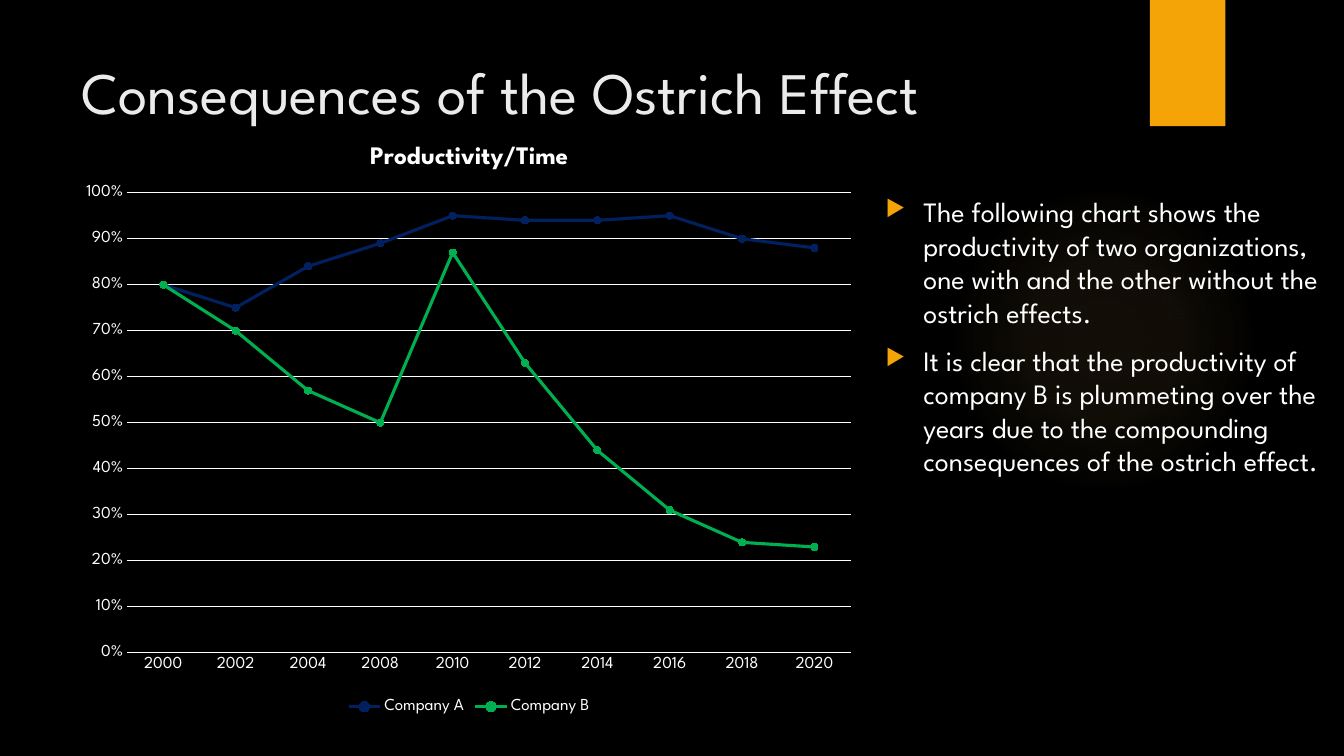
from dataclasses import dataclass

from pptx import Presentation
from pptx.chart.data import CategoryChartData
from pptx.dml.color import RGBColor
from pptx.enum.chart import XL_CHART_TYPE as ChartType
from pptx.enum.chart import XL_LEGEND_POSITION as LegendPosition
from pptx.enum.chart import XL_MARKER_STYLE as MarkerStyle
from pptx.enum.chart import XL_TICK_MARK as TickMark
from pptx.enum.shapes import MSO_SHAPE as Preset
from pptx.enum.text import MSO_ANCHOR as Anchor
from pptx.oxml import parse_xml
from pptx.oxml.ns import nsdecls
from pptx.util import Cm, Pt


@dataclass(frozen=True)
class Theme:
    font: str = "League Spartan"
    background: str = "000000"
    text: str = "FFFFFF"
    title: str = "EBEBEB"
    accent: str = "F5A408"
    glow: str = "FAC96A"
    companies: tuple = ("002060", "00B050")
    title_size: int = 42
    body_size: int = 20
    chart_title_size: int = 18
    label_size: int = 12


@dataclass(frozen=True)
class Box:
    left: float
    top: float
    width: float
    height: float

    def lengths(self):
        return Cm(self.left), Cm(self.top), Cm(self.width), Cm(self.height)


THEME = Theme()
YEARS = ["2000", "2002", "2004", "2008", "2010", "2012", "2014", "2016", "2018", "2020"]
PRODUCTIVITY = {
    "Company A": [0.8, 0.75, 0.84, 0.89, 0.95, 0.94, 0.94, 0.95, 0.9, 0.88],
    "Company B": [0.8, 0.7, 0.57, 0.5, 0.87, 0.63, 0.44, 0.31, 0.24, 0.23],
}
POINTS = [
    "The following chart shows the productivity of two organizations, "
    "one with and the other without the ostrich effects.",
    "It is clear that the productivity of company B is plummeting over the "
    "years due to the compounding consequences of the ostrich effect.",
]


def color(value):
    return RGBColor.from_string(value)


def style_font(font, size, value=THEME.text, bold=False):
    font.name = THEME.font
    font.size = Pt(size)
    font.bold = bold
    font.color.rgb = color(value)


def style_line(line, value, width):
    line.color.rgb = color(value)
    line.width = Pt(width)


def add_plain_shape(page, preset, box):
    shape = page.shapes.add_shape(preset, *box.lengths())
    shape.shadow.inherit = False
    shape.line.fill.background()
    return shape


def add_glow(page, box):
    glow = add_plain_shape(page, Preset.OVAL, box)
    stops = "".join(
        f'<a:gs pos="{place * 1000}"><a:srgbClr val="{THEME.glow}">'
        f'<a:alpha val="{alpha * 1000}"/></a:srgbClr></a:gs>'
        for place, alpha in ((0, 7), (36, 6), (69, 0))
    )
    glow.fill.gradient()
    gradient = glow.element.spPr.find("{*}gradFill")
    gradient.getparent().replace(gradient, parse_xml(
        f'<a:gradFill {nsdecls("a")}><a:gsLst>{stops}</a:gsLst><a:path path="circle">'
        '<a:fillToRect l="50000" t="50000" r="50000" b="50000"/></a:path></a:gradFill>'
    ))


def add_ribbon(page, box):
    ribbon = add_plain_shape(page, Preset.RECTANGLE, box)
    ribbon.fill.solid()
    ribbon.fill.fore_color.rgb = color(THEME.accent)


def add_text_frame(page, box):
    frame = page.shapes.add_textbox(*box.lengths()).text_frame
    frame.word_wrap = True
    frame.vertical_anchor = Anchor.TOP
    return frame


def add_title(page, box):
    frame = add_text_frame(page, box)
    frame.text = "Consequences of the Ostrich Effect"
    style_font(frame.paragraphs[0].font, THEME.title_size, THEME.title)


def add_bullet(para):
    properties = para._p.get_or_add_pPr()
    properties.set("marL", str(Cm(0.95)))
    properties.set("indent", str(Cm(-0.95)))
    for tag in (
        f'<a:buClr {nsdecls("a")}><a:srgbClr val="{THEME.accent}"/></a:buClr>',
        f'<a:buSzPct {nsdecls("a")} val="80000"/>',
        f'<a:buChar {nsdecls("a")} char="▶"/>',
    ):
        properties.append(parse_xml(tag))


def add_points(page, box):
    frame = add_text_frame(page, box)
    for index, point in enumerate(POINTS):
        para = frame.add_paragraph() if index else frame.paragraphs[0]
        para.text = point
        add_bullet(para)
        para.space_before = Pt(10 if index else 0)
        style_font(para.font, THEME.body_size)


def manual_layout(**places):
    target = '<c:layoutTarget val="inner"/>' if "w" in places else ""
    modes = "".join(f'<c:{axis}Mode val="edge"/>' for axis in "xy")
    values = "".join(f'<c:{key} val="{value}"/>' for key, value in places.items())
    return parse_xml(
        f'<c:layout {nsdecls("c")}><c:manualLayout>{target}{modes}{values}'
        "</c:manualLayout></c:layout>"
    )


def place_part(part, **places):
    for layout in part.findall("{*}layout"):
        part.remove(layout)
    index = 1 if part.find("{*}tx") is not None else 0
    part.insert(index, manual_layout(**places))


def style_axes(chart):
    for axis in (chart.category_axis, chart.value_axis):
        axis.major_tick_mark = axis.minor_tick_mark = TickMark.NONE
        style_font(axis.tick_labels.font, THEME.label_size)
    style_line(chart.category_axis.format.line, THEME.text, 0.75)
    values = chart.value_axis
    values.minimum_scale, values.maximum_scale, values.major_unit = 0, 1, 0.1
    values.tick_labels.number_format = "0%"
    values.tick_labels.number_format_is_linked = False
    values.format.line.fill.background()
    style_line(values.major_gridlines.format.line, THEME.text, 0.75)


def style_series(chart):
    for series, value in zip(chart.plots[0].series, THEME.companies):
        series.smooth = False
        style_line(series.format.line, value, 2.25)
        marker = series.marker
        marker.style = MarkerStyle.CIRCLE
        marker.size = 5
        marker.format.fill.solid()
        marker.format.fill.fore_color.rgb = color(value)
        style_line(marker.format.line, value, 0.75)


def add_productivity_chart(page, box):
    data = CategoryChartData(number_format="0%")
    data.categories = YEARS
    for company, values in PRODUCTIVITY.items():
        data.add_series(company, values)
    chart = page.shapes.add_chart(ChartType.LINE_MARKERS, *box.lengths(), data).chart
    style_font(chart.font, THEME.label_size)
    chart.plots[0].vary_by_categories = False
    heading = chart.chart_title.text_frame
    heading.text = "Productivity/Time"
    style_font(heading.paragraphs[0].runs[0].font, THEME.chart_title_size, bold=True)
    chart.has_legend = True
    chart.legend.position = LegendPosition.BOTTOM
    chart.legend.include_in_layout = False
    style_font(chart.legend.font, THEME.label_size)
    style_axes(chart)
    style_series(chart)
    place_part(chart.chart_title._element, x=0.37, y=0.03)
    place_part(chart._chartSpace.chart.plotArea, x=0.07, y=0.12, w=0.91, h=0.77)


def build_slide(deck):
    page = deck.slides.add_slide(deck.slide_layouts[6])
    page.background.fill.solid()
    page.background.fill.fore_color.rgb = color(THEME.background)
    add_glow(page, Box(23.9, 4.65, 7.82, 7.82))
    add_ribbon(page, Box(28.98, 0, 1.9, 3.18))
    add_title(page, Box(1.8, 1.27, 26.14, 3.89))
    add_productivity_chart(page, Box(1.8, 3.05, 20.04, 15.06))
    add_points(page, Box(22.07, 4.78, 11.48, 12.37))


def main():
    deck = Presentation()
    deck.slide_width, deck.slide_height = Cm(33.87), Cm(19.05)
    build_slide(deck)
    deck.save("out.pptx")


if __name__ == "__main__":
    main()
